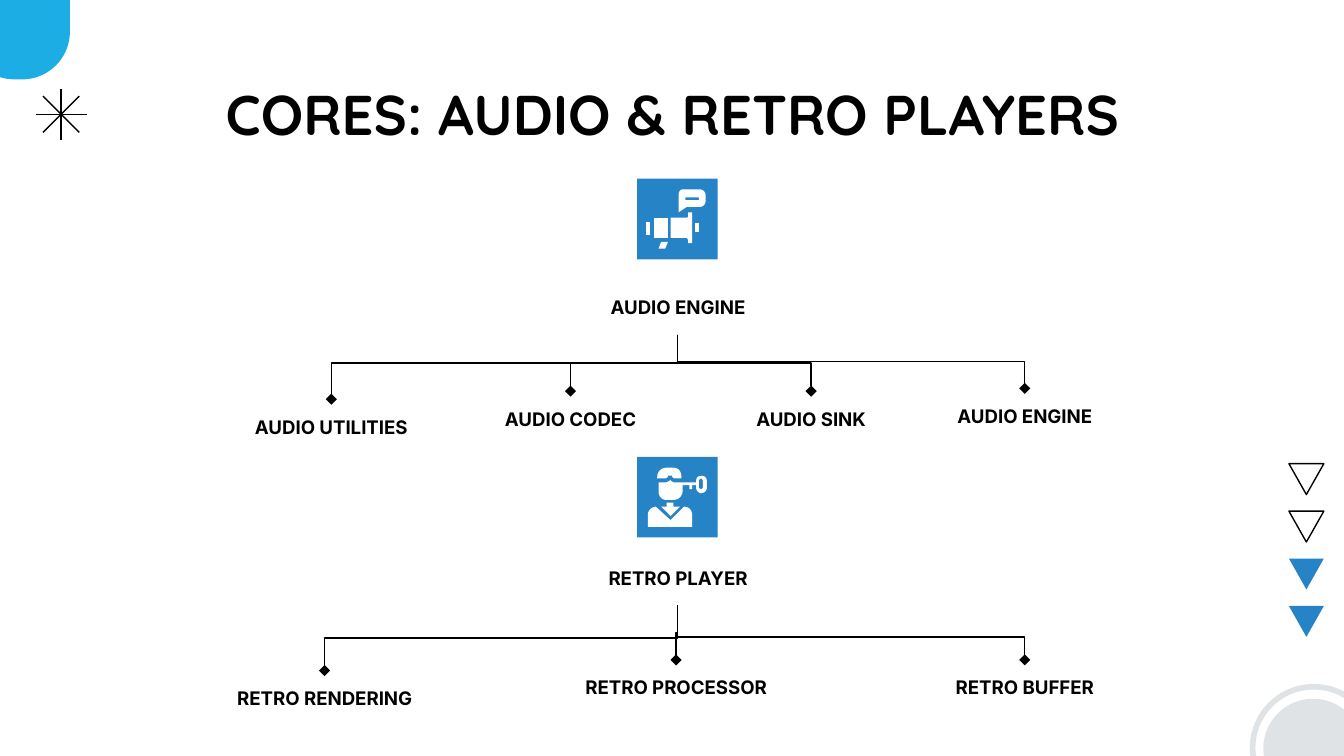
from pptx import Presentation
from pptx.util import Inches, Pt
from pptx.dml.color import RGBColor
from pptx.enum.shapes import MSO_SHAPE as Kind, MSO_CONNECTOR as Link
from pptx.enum.text import PP_ALIGN as Align, MSO_ANCHOR as Anchor
from pptx.oxml.ns import qn
from lxml.etree import SubElement

BLACK, WHITE, BLUE, CYAN, GREY = "000000", "FFFFFF", "2683C6", "1CADE4", "DFE3E5"
COLS = 1000
WIDE = 10
TALL = WIDE * 9 / 16
ROW = 41

HORN = [
    "13,29 13,44 23,44 23,29",
    "34,8 32,8,31,10,31,12 31,25 37,21 47,21 49,21,51,19,51,17 51,12 51,10,49,8,47,8"
    " / 46,14 46,16 36,16 36,14",
    "38,25 38,28 38,28,38,29,37,29 25,29 25,44 37,44 37,44,38,45,38,46 38,48 41,48 41,25",
    "7,32 7,42 10,42 10,32",
    "18,47 16,52 21,52 23,47",
    "43,33 43,40 46,40 46,33",
]
GUARD = [
    "22,8 18,8,15,11,15,15 15,16 21,16 22,16,23,15,23,14 26,14 26,15,27,16,28,16"
    " 33,16 33,15 33,11,31,8,27,8",
    "14,37 11,37,8,40,8,43 8,52 41,52 41,43 41,40,39,37,35,37 25,47",
    "48,14 46,14,44,15,44,18 44,19 28,19 27,19,25,18,25,17 24,18,22,19,21,19 16,19"
    " 16,25 16,29,18,32,22,32 27,32 31,32,34,29,34,25 34,21 39,21 39,24 41,24 41,21"
    " 44,21 44,23 44,25,46,27,48,27 50,27,52,25,52,23 52,18 52,15,50,14,48,14"
    " / 48,16 48,16,49,17,49,18 49,23 49,23,48,24,48,24 47,24,46,23,46,23"
    " 46,18 46,17,47,16,48,16",
    "22,34 22,37 18,37 25,44 32,37 27,37 27,34",
]
TREES = [
    (133, HORN, 208, "AUDIO ENGINE", [
        (246.5, 297, 0.44, 147, "AUDIO UTILITIES"),
        (424.5, 291, 0.5, 147, "AUDIO CODEC"),
        (603.5, 291, 0.5, 147, "AUDIO SINK"),
        (762.5, 289, 0.5, 147, "AUDIO ENGINE")]),
    (340, GUARD, 409.5, "RETRO PLAYER", [
        (241.5, 499, 0.5, 155, "RETRO RENDERING"),
        (503, 491, 0.5, 172, "RETRO PROCESSOR"),
        (762.5, 491, 0.58, 147, "RETRO BUFFER")]),
]


def tint(code):
    return RGBColor.from_string(code)


def cells(*nums):
    return [Inches(n * WIDE / COLS) for n in nums]


def trace(text):
    pts = []
    for word in text.split():
        nums = [float(n) for n in word.split(",")]
        if len(nums) == 2:
            pts.append(tuple(nums))
            continue
        ends = [pts[-1], nums[:2], nums[2:4], nums[4:]]
        for step in range(1, 9):
            t = step / 8
            mix = [(1 - t) ** 3, 3 * t * (1 - t) ** 2, 3 * t * t * (1 - t), t ** 3]
            pts.append(tuple(sum(m * e[i] for m, e in zip(mix, ends)) for i in (0, 1)))
    return pts


class Board:
    def __init__(self, slide):
        self.shapes = slide.shapes
        self.ink = BLACK
        self.thin = 0.75

    def paint(self, item, fill=None, line=None, width=None):
        item.shadow.inherit = False
        if fill:
            item.fill.solid()
            item.fill.fore_color.rgb = tint(fill)
        else:
            item.fill.background()
        if line:
            item.line.color.rgb = tint(line)
            item.line.width = Pt(width or self.thin)
        else:
            item.line.fill.background()

    def shape(self, kind, box, turn=0, **look):
        item = self.shapes.add_shape(kind, *cells(*box))
        item.rotation = turn
        self.paint(item, **look)
        return item

    def text(self, words, box, font="Inter", size=10, anchor=Anchor.MIDDLE):
        frame = self.shapes.add_textbox(*cells(*box)).text_frame
        frame.word_wrap = True
        frame.vertical_anchor = anchor
        frame.margin_left = frame.margin_right = Inches(0.1)
        frame.margin_top = frame.margin_bottom = Inches(0.1)
        para = frame.paragraphs[0]
        para.alignment = Align.CENTER
        run = para.add_run()
        run.text = words
        run.font.name = font
        run.font.size = Pt(size)
        run.font.bold = True
        run.font.color.rgb = tint(self.ink)

    def line(self, x, y, to_x, to_y, kind=Link.STRAIGHT):
        item = self.shapes.add_connector(kind, *cells(x, y, to_x, to_y))
        item.line.color.rgb = tint(self.ink)
        item.line.width = Pt(self.thin)
        SubElement(item._element.spPr, qn("a:effectLst"))
        return item

    def branch(self, x, y, to_x, to_y, bend):
        mid_x, mid_y = (x + to_x) / 2, (y + to_y) / 2
        half_w, half_h = (to_y - y) / 2, abs(to_x - x) / 2
        item = self.line(mid_x - half_w, mid_y - half_h,
                         mid_x + half_w, mid_y + half_h, Link.ELBOW)
        props = item._element.spPr
        frame = props.find(qn("a:xfrm"))
        if to_x > x:
            frame.set("rot", str(270 * 60000))
            frame.set("flipH", "1")
        else:
            frame.set("rot", str(90 * 60000))
        guides = props.find(qn("a:prstGeom")).find(qn("a:avLst"))
        SubElement(guides, qn("a:gd"), name="adj1", fmla=f"val {round(bend * 100000)}")
        SubElement(props.find(qn("a:ln")), qn("a:tailEnd"), type="diamond")

    def icon(self, x, y, parts):
        self.shape(Kind.RECTANGLE, (x, y, 60, 60), fill=BLUE)
        for part in parts:
            loops = [[cells(x + a, y + b) for a, b in trace(loop)]
                     for loop in part.split("/")]
            pen = self.shapes.build_freeform(*loops[0][0], scale=1.0)
            pen.add_line_segments(loops[0][1:], close=True)
            for loop in loops[1:]:
                pen.move_to(*loop[0])
                pen.add_line_segments(loop[1:], close=True)
            self.paint(pen.convert_to_shape(), fill=WHITE)

    def decor(self):
        tab = self.shape(Kind.ROUND_2_SAME_RECTANGLE, (-25, -12, 77, 71), 180, fill=CYAN)
        tab.adjustments[0] = 0.5
        tab.adjustments[1] = 0
        self.shape(Kind.OVAL, (932, 511, 91, 91), line=GREY, width=3)
        self.shape(Kind.OVAL, (940, 520, 74, 74), fill=GREY)
        for i in range(4):
            look = {"line": self.ink} if i < 2 else {"fill": BLUE}
            self.shape(Kind.ISOSCELES_TRIANGLE, (959, 345 + 35.3 * i, 26, 23), 180, **look)
        for dx, dy in [(13.5, 13.5), (-13.5, 13.5), (0, 19), (19, 0)]:
            self.line(45.5 - dx, 85 - dy, 45.5 + dx, 85 + dy)

    def tree(self, top, parts, y, name, kids):
        hub = 504
        self.icon(474, top, parts)
        self.text(name, (hub - 73, y, 147, ROW))
        for x, low, bend, wide, label in kids:
            self.branch(hub, y + ROW, x, low, bend)
            self.text(label, (x - wide / 2, low, wide, ROW))


def main():
    deck = Presentation()
    deck.slide_width, deck.slide_height = Inches(WIDE), Inches(TALL)
    board = Board(deck.slides.add_slide(deck.slide_layouts[6]))
    board.decor()
    board.text("CORES: AUDIO & RETRO PLAYERS", (79, 49, 843, 63),
               "Quicksand", 30, Anchor.TOP)
    for tree in TREES:
        board.tree(*tree)
    deck.save("out.pptx")


if __name__ == "__main__":
    main()
